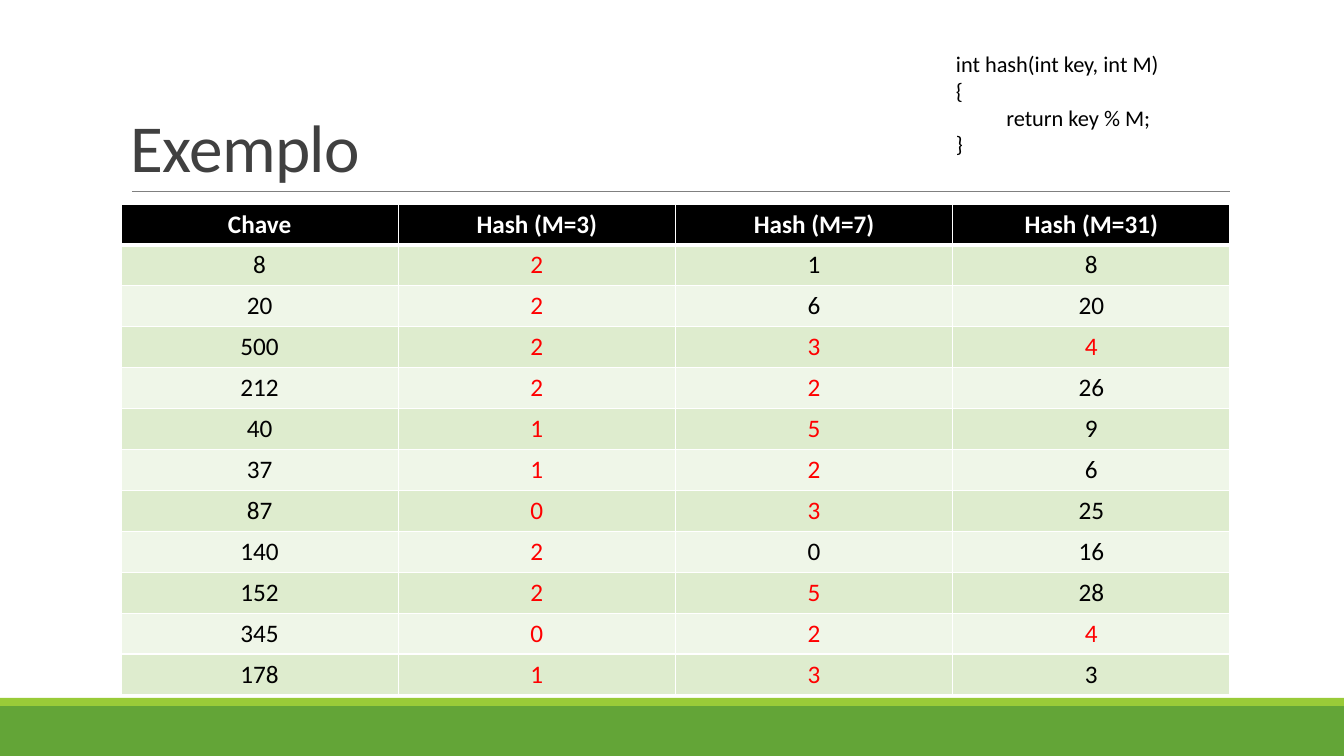
from collections import Counter

from lxml import etree
from pptx import Presentation
from pptx.dml.color import RGBColor
from pptx.enum.shapes import MSO_CONNECTOR, MSO_SHAPE
from pptx.enum.text import MSO_ANCHOR, PP_ALIGN
from pptx.oxml.ns import qn
from pptx.util import Emu, Pt

RECT = MSO_SHAPE.RECTANGLE
STRAIGHT = MSO_CONNECTOR.STRAIGHT
TOP, BOTTOM = MSO_ANCHOR.TOP, MSO_ANCHOR.BOTTOM
LEFT, CENTER = PP_ALIGN.LEFT, PP_ALIGN.CENTER

W, H = 1344, 756
FONT = "Calibri"
BLACK, WHITE, RED = "000000", "FFFFFF", "FF0000"
BANDS = ("DEECCE", "EFF6E8")

HEADERS = ("Chave", "Hash (M=3)", "Hash (M=7)", "Hash (M=31)")
HASHES = (
    (8, 2, 1, 8),
    (20, 2, 6, 20),
    (500, 2, 3, 4),
    (212, 2, 2, 26),
    (40, 1, 5, 9),
    (37, 1, 2, 6),
    (87, 0, 3, 25),
    (140, 2, 0, 16),
    (152, 2, 5, 28),
    (345, 0, 2, 4),
    (178, 1, 3, 3),
)
CODE = ("int hash(int key, int M)", "{", "\treturn key % M;", "}")


def px(n):
    return Emu(round(n * 914400 / 100.8))


def rgb(value):
    return RGBColor.from_string(value)


def write(p, text, size, color=BLACK, bold=False, align=LEFT, spacing=None):
    p.alignment = align
    r = p.add_run()
    r.text = text
    r.font.name = FONT
    r.font.size = Pt(size)
    r.font.bold = bold
    r.font.color.rgb = rgb(color)
    if spacing is not None:
        r._r.get_or_add_rPr().set("spc", str(round(spacing * 100)))


def text_box(s, x, y, w, h, anchor=TOP):
    tf = s.shapes.add_textbox(px(x), px(y), px(w), px(h)).text_frame
    tf.word_wrap = True
    tf.vertical_anchor = anchor
    return tf


def set_tab(p, position):
    tabs = etree.SubElement(p._p.get_or_add_pPr(), qn("a:tabLst"))
    etree.SubElement(tabs, qn("a:tab"), pos=str(position), algn="l")


def set_borders(cell, **widths):
    """Draw white borders; widths in points are keyed by L, R, T, B."""
    tcPr = cell._tc.get_or_add_tcPr()
    for side in "LRTB":
        ln = etree.SubElement(tcPr, qn(f"a:ln{side}"), w=str(Pt(widths.get(side, 1))))
        fill = etree.SubElement(ln, qn("a:solidFill"))
        etree.SubElement(fill, qn("a:srgbClr"), val=WHITE)


def footer(s, x, y, w, h):
    stripe = 8
    for top, height, color in ((y + stripe, h - stripe, "63A537"), (y, stripe, "99CB38")):
        sp = s.shapes.add_shape(RECT, px(x), px(top), px(w), px(height))
        sp.shadow.inherit = False
        sp.fill.solid()
        sp.fill.fore_color.rgb = rgb(color)
        sp.line.fill.background()


def title(s, x, y, w, h):
    rule = s.shapes.add_connector(STRAIGHT, px(x + 11), px(y + h), px(x + w), px(y + h))
    rule.line.color.rgb = rgb("808080")
    rule.line.width = Pt(0.5)
    etree.SubElement(rule._element.spPr, qn("a:effectLst"))
    p = text_box(s, x, y, w, h, BOTTOM).paragraphs[0]
    p.line_spacing = 0.85
    write(p, "Exemplo", 48, "404040", spacing=-0.5)


def code(s, x, y, w, h):
    tf = text_box(s, x, y, w, h)
    for i, line in enumerate(CODE):
        p = tf.add_paragraph() if i else tf.paragraphs[0]
        write(p, line, 16)
        if line.startswith("\t"):
            set_tab(p, Pt(36))


def hash_table(s, x, y, w, h):
    """Fill the table, with hashes that collide within a column in red."""
    rows = (HEADERS, *HASHES)
    table = s.shapes.add_table(len(rows), len(HEADERS), px(x), px(y), px(w), px(h)).table
    for column in table.columns:
        column.width = px(w / len(HEADERS))
    counts = [Counter(column) for column in zip(*HASHES)]
    for i, values in enumerate(rows):
        table.rows[i].height = px(h / len(rows))
        for j, value in enumerate(values):
            cell = table.cell(i, j)
            if i == 0:
                color, fill, edges = WHITE, BLACK, {"B": 3}
            else:
                color = RED if counts[j][value] > 1 else BLACK
                fill = BANDS[(i - 1) % 2]
                edges = {"T": 3} if i == 1 else {}
            set_borders(cell, **edges)
            cell.fill.solid()
            cell.fill.fore_color.rgb = rgb(fill)
            write(cell.text_frame.paragraphs[0], str(value), 18, color,
                  bold=i == 0, align=CENTER)


def main():
    prs = Presentation()
    prs.slide_width, prs.slide_height = px(W), px(H)
    s = prs.slides.add_slide(prs.slide_layouts[6])
    s.background.fill.solid()
    s.background.fill.fore_color.rgb = rgb(WHITE)
    footer(s, 0, 698, W, H - 698)
    title(s, 121, 31, 1109, 160)
    hash_table(s, 121, 204, 1109, 491)
    code(s, 946, 45, 283, 119)
    prs.save("out.pptx")


if __name__ == "__main__":
    main()
